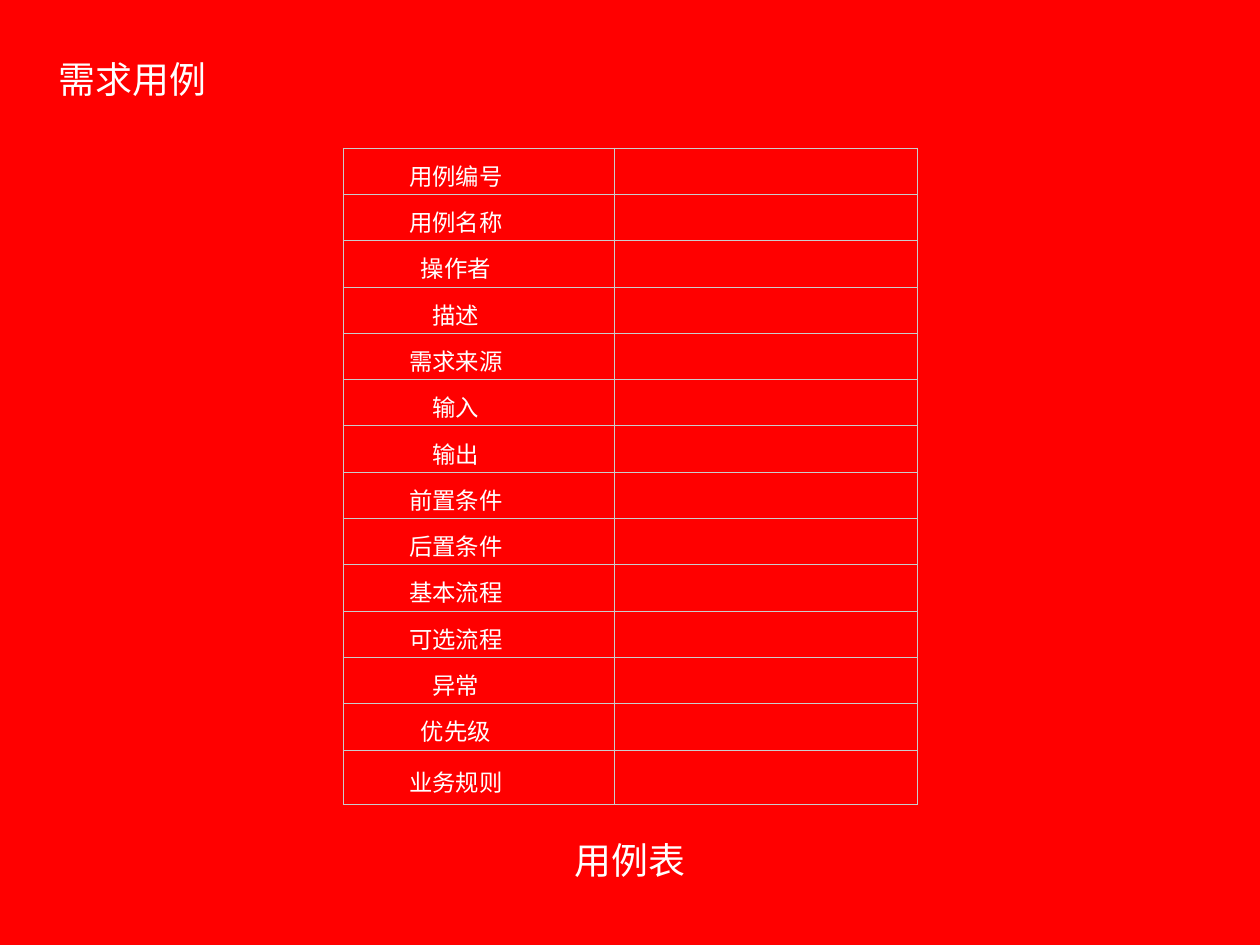
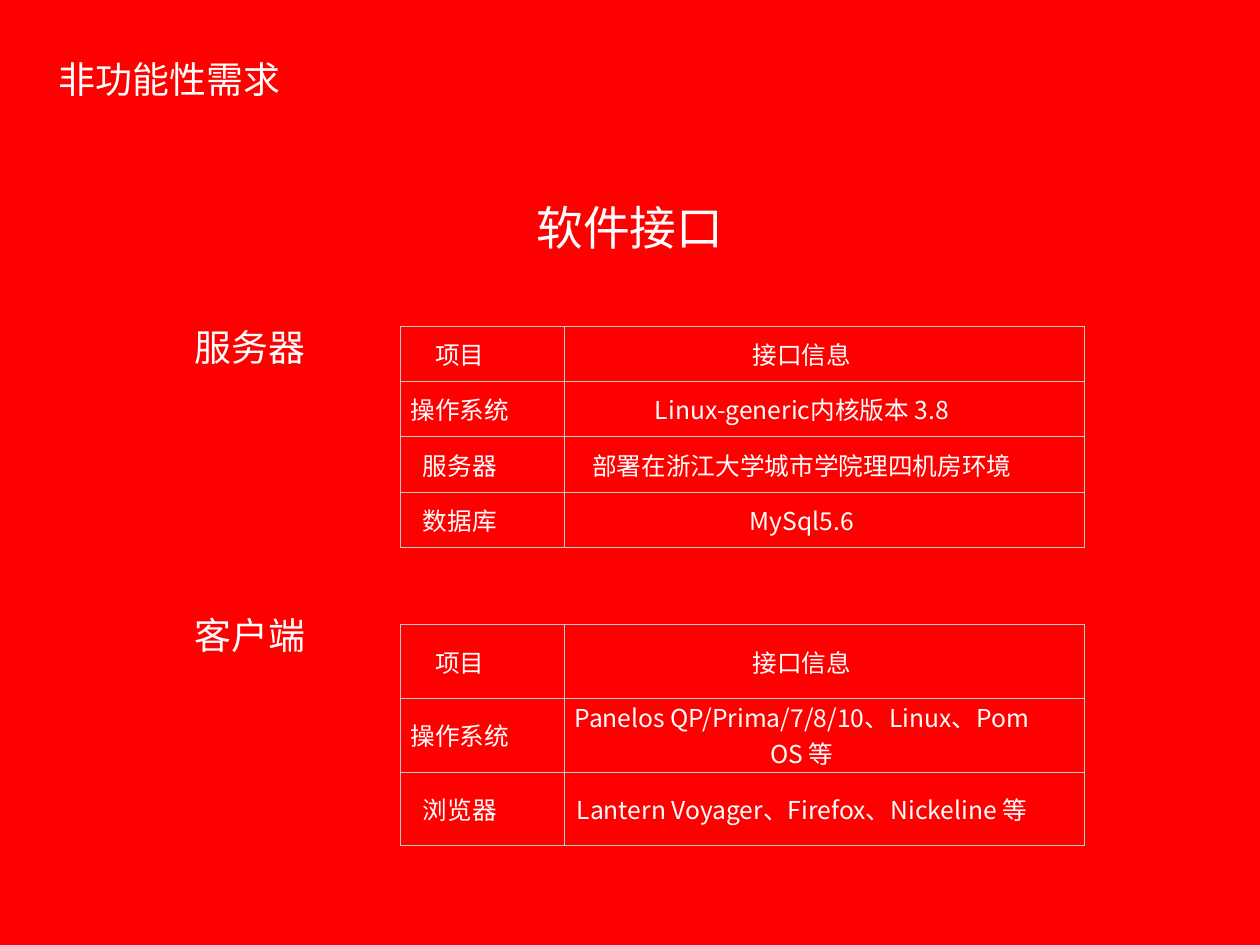
from dataclasses import dataclass

from lxml.etree import SubElement
from pptx import Presentation
from pptx.dml.color import RGBColor as Rgb
from pptx.enum.text import MSO_ANCHOR as Anchor, MSO_AUTO_SIZE as Fit, PP_ALIGN as Align
from pptx.oxml import parse_xml
from pptx.oxml.ns import nsdecls, qn
from pptx.util import Inches, Pt


@dataclass(frozen=True)
class Theme:
    back: str = "FF0000"
    ink: str = "FFFFFF"
    rule: str = "CBCBCB"
    font: str = "Noto Sans CJK SC"
    title: int = 30
    head: int = 38
    case: int = 19
    cell: int = 20
    hair: float = 0.5
    pad: float = 0.06
    slack: float = 0.04


THEME = Theme()
WIDTH, HEIGHT = 14.22, 10.67
MID = WIDTH / 2

CASES = ["用例编号", "用例名称", "操作者", "描述", "需求来源", "输入", "输出",
         "前置条件", "后置条件", "基本流程", "可选流程", "异常", "优先级", "业务规则"]
HEADER = ("项目", "接口信息")
SERVER = [HEADER,
          ("操作系统", "Linux-generic内核版本 3.8"),
          ("服务器", "部署在浙江大学城市学院理四机房环境"),
          ("数据库", "MySql5.6")]
CLIENT = [HEADER,
          ("操作系统", "Panelos QP/Prima/7/8/10、Linux、Pom OS 等"),
          ("浏览器", "Lantern Voyager、Firefox、Nickeline 等")]

SLIDES = [
    {"title": "需求用例",
     "labels": [("用例表", MID, 9.36, THEME.title)],
     "tables": [{"rows": [(name, "") for name in CASES], "at": (3.87, 1.67),
                 "cols": (3.06, 3.42), "tall": [6.8 / 13] * 13 + [0.62],
                 "size": THEME.case, "lead": 34}]},
    {"title": "非功能性需求",
     "labels": [("软件接口", MID, 2.14, THEME.head),
                ("服务器", 2.82, 3.57, THEME.title),
                ("客户端", 2.82, 6.82, THEME.title)],
     "tables": [{"rows": rows, "at": (4.52, top), "cols": (1.85, 5.87),
                 "tall": [2.5 / len(rows)] * len(rows), "size": THEME.cell}
                for rows, top in ((SERVER, 3.68), (CLIENT, 7.05))]},
]


def write(frame, text, size=THEME.title, align=Align.CENTER, lead=None):
    para = frame.paragraphs[0]
    para.alignment = align
    if lead:
        para.line_spacing = Pt(lead)
    run = para.add_run()
    run.text = text
    font = run.font
    font.size = Pt(size)
    font.color.rgb = Rgb.from_string(THEME.ink)
    font.name = THEME.font
    SubElement(font._element, qn("a:ea")).set("typeface", THEME.font)


def extent(text, size):
    """Width and height of one line of square glyphs, with padding and slack."""
    edge = 2 * THEME.pad
    return len(text) * size / 72 + edge + THEME.slack, 1.38 * size / 72 + edge


def label(box, text, **style):
    frame = box.text_frame
    frame.word_wrap = False
    frame.auto_size = Fit.SHAPE_TO_FIT_TEXT
    frame.vertical_anchor = Anchor.MIDDLE
    frame.margin_left = frame.margin_right = Inches(THEME.pad)
    frame.margin_top = frame.margin_bottom = Inches(THEME.pad)
    write(frame, text, **style)


def border(cell):
    props = cell._tc.get_or_add_tcPr()
    for spot, side in enumerate("LRTB"):
        props.insert(spot, parse_xml(
            f'<a:ln{side} {nsdecls("a")} w="{Pt(THEME.hair)}"><a:solidFill>'
            f'<a:srgbClr val="{THEME.rule}"/></a:solidFill></a:ln{side}>'))


def grid(slide, rows, at, cols, tall, size, lead=None):
    lengths = map(Inches, (*at, sum(cols), sum(tall)))
    table = slide.shapes.add_table(len(rows), len(cols), *lengths).table
    table.first_row = table.horz_banding = False
    for col, wide in zip(table.columns, cols):
        col.width = Inches(wide)
    for row, high, texts in zip(table.rows, tall, rows):
        row.height = Inches(high)
        for cell, text in zip(row.cells, texts):
            cell.fill.background()
            border(cell)
            cell.vertical_anchor = Anchor.MIDDLE
            cell.margin_left, cell.margin_right = Inches(0.07), Inches(0.58)
            cell.margin_top = cell.margin_bottom = 0
            if text:
                write(cell.text_frame, text, size=size, lead=lead)


def build(deck, page):
    slide = deck.slides.add_slide(deck.slide_layouts.get_by_name("Title Only"))
    title, name = slide.shapes.title, page["title"]
    wide, high = extent(name, THEME.title)
    title.left, title.top = Inches(0.6), Inches(0.54)
    title.width, title.height = Inches(wide), Inches(high)
    label(title, name, align=Align.LEFT)
    for text, mid, top, size in page["labels"]:
        wide, high = extent(text, size)
        box = slide.shapes.add_textbox(*map(Inches, (mid - wide / 2, top, wide, high)))
        label(box, text, size=size)
    for table in page["tables"]:
        grid(slide, **table)


def main():
    deck = Presentation()
    deck.slide_width, deck.slide_height = Inches(WIDTH), Inches(HEIGHT)
    fill = deck.slide_master.background.fill
    fill.solid()
    fill.fore_color.rgb = Rgb.from_string(THEME.back)
    for page in SLIDES:
        build(deck, page)
    deck.save("out.pptx")


if __name__ == "__main__":
    main()
